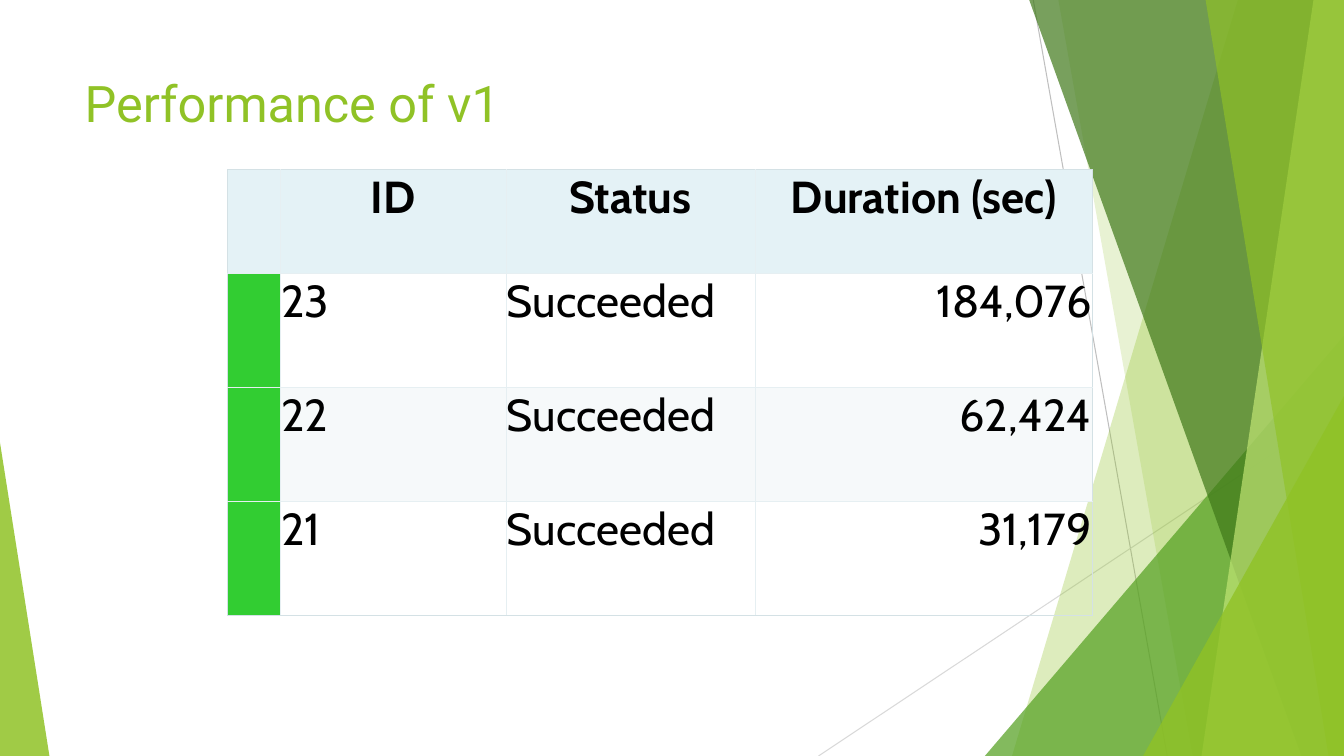
from dataclasses import dataclass

from lxml.etree import SubElement
from pptx import Presentation
from pptx.dml.color import RGBColor
from pptx.enum.shapes import MSO_CONNECTOR, MSO_SHAPE
from pptx.enum.text import MSO_ANCHOR, PP_ALIGN
from pptx.oxml.ns import qn
from pptx.util import Inches, Pt


@dataclass(frozen=True)
class Theme:
    lime: str = "90C226"
    green: str = "54A021"
    forest: str = "3F7819"
    pale_lime: str = "C0E474"
    dark_line: str = "BFBFBF"
    light_line: str = "D9D9D9"
    text: str = "000000"
    header: str = "E4F2F6"
    band: str = "F6F9FA"
    success: str = "32CD32"
    outer_border: str = "D4E1E5"
    inner_border: str = "E6EFF2"
    title_font: str = "Roboto"
    table_font: str = "Cabin"
    title_size: int = 36
    table_size: int = 32
    line_width: float = 0.75
    border_width: float = 0.5


THEME = Theme()
SLIDE_WIDTH, SLIDE_HEIGHT = Inches(13.33), Inches(7.5)

# Places and sizes are percentages of the slide's width (x) and height (y).
RAYS = [
    ((76.88, 0), (86.85, 100), THEME.dark_line),
    ((100, 53.73), (60.9, 100), THEME.light_line),
]
# Top x, bottom x, colour, opacity; each panel reaches the right edge.
BACK_PANELS = [(92.1, 75.3, THEME.lime, 30), (78.75, 88.73, THEME.lime, 20)]
FRONT_PANELS = [
    (76.58, 96.83, THEME.forest, 70),
    (97.73, 89.4, THEME.pale_lime, 70),
    (89.7, 98.85, THEME.lime, 65),
]
HEADERS = ["", "ID", "Status", "Duration (sec)"]
RUNS = [
    ["", "23", "Succeeded", "184,076"],
    ["", "22", "Succeeded", "62,424"],
    ["", "21", "Succeeded", "31,179"],
]
ALIGNMENTS = [PP_ALIGN.LEFT, PP_ALIGN.LEFT, PP_ALIGN.LEFT, PP_ALIGN.RIGHT]
COLUMN_WIDTHS = [3.9, 16.8, 18.53, 25.13]
ROW_HEIGHTS = [13.73] + [15.08] * len(RUNS)


def across(percent):
    return round(SLIDE_WIDTH * percent / 100)


def down(percent):
    return round(SLIDE_HEIGHT * percent / 100)


def paint(shape, color, opacity):
    shape.shadow.inherit = False
    shape.line.fill.background()
    shape.fill.solid()
    shape.fill.fore_color.rgb = RGBColor.from_string(color)
    color_node = shape.fill._xPr.find(qn("a:solidFill"))[0]
    SubElement(color_node, qn("a:alpha"), val=str(opacity * 1000))


def add_ray(page, start, end, color):
    ray = page.shapes.add_connector(
        MSO_CONNECTOR.STRAIGHT,
        across(start[0]), down(start[1]), across(end[0]), down(end[1]),
    )
    ray.line.color.rgb = RGBColor.from_string(color)
    ray.line.width = Pt(THEME.line_width)
    SubElement(ray.element.spPr, qn("a:effectLst"))


def add_panel(page, top_x, bottom_x, color, opacity):
    builder = page.shapes.build_freeform(across(top_x), 0)
    builder.add_line_segments([
        (SLIDE_WIDTH, 0), (SLIDE_WIDTH, SLIDE_HEIGHT),
        (across(bottom_x), SLIDE_HEIGHT),
    ])
    paint(builder.convert_to_shape(), color, opacity)


def add_corner(page, left, right, top, apex, color, opacity):
    """Add a triangle standing on the bottom edge; apex 0 is left, 1 right."""
    corner = page.shapes.add_shape(
        MSO_SHAPE.ISOSCELES_TRIANGLE,
        across(left), down(top), across(right - left), down(100 - top),
    )
    corner.adjustments[0] = apex
    paint(corner, color, opacity)


def add_facets(page):
    for ray in RAYS:
        add_ray(page, *ray)
    for panel in BACK_PANELS:
        add_panel(page, *panel)
    add_corner(page, 73.28, 100, 44.4, 1, THEME.green, 72)
    for panel in FRONT_PANELS:
        add_panel(page, *panel)
    add_corner(page, 85.05, 100, 52.4, 1, THEME.lime, 80)
    add_corner(page, 0, 3.68, 58.53, 0, THEME.lime, 85)


def set_font(paragraph, name, size, color, bold=False):
    font = paragraph.font
    font.name, font.size, font.bold = name, Pt(size), bold
    font.color.rgb = RGBColor.from_string(color)


def place_title(page, text):
    title = page.shapes.title
    title.left, title.top = across(5.55), down(8.93)
    title.width, title.height = across(70.5), down(19.2)
    frame = title.text_frame
    frame.text = text
    frame.word_wrap = True
    frame.vertical_anchor = MSO_ANCHOR.TOP
    paragraph = frame.paragraphs[0]
    paragraph.alignment = PP_ALIGN.LEFT
    set_font(paragraph, THEME.title_font, THEME.title_size, THEME.lime)
    title.element.getparent().append(title.element)  # bring to front


def set_borders(cell, outer_sides):
    properties = cell._tc.get_or_add_tcPr()
    for side in "LRTB":
        color = THEME.outer_border if side in outer_sides else THEME.inner_border
        line = SubElement(
            properties, qn(f"a:ln{side}"), w=str(Pt(THEME.border_width))
        )
        fill = SubElement(line, qn("a:solidFill"))
        SubElement(fill, qn("a:srgbClr"), val=color)


def cell_fill(row, column):
    if row == 0:
        return THEME.header
    if column == 0:
        return THEME.success
    return THEME.band if row % 2 == 0 else None


def format_cell(cell, text, row, column):
    edges = {
        "L": column == 0, "R": column == len(HEADERS) - 1,
        "T": row == 0, "B": row == len(RUNS),
    }
    set_borders(cell, [side for side, is_outer in edges.items() if is_outer])
    color = cell_fill(row, column)
    if color:
        cell.fill.solid()
        cell.fill.fore_color.rgb = RGBColor.from_string(color)
    else:
        cell.fill.background()
    cell.margin_left = cell.margin_right = cell.margin_top = Inches(0.01)
    cell.margin_bottom = 0
    cell.text = text
    paragraph = cell.text_frame.paragraphs[0]
    paragraph.alignment = PP_ALIGN.CENTER if row == 0 else ALIGNMENTS[column]
    set_font(paragraph, THEME.table_font, THEME.table_size, THEME.text, row == 0)


def add_run_table(page):
    records = [HEADERS] + RUNS
    table = page.shapes.add_table(
        len(records), len(HEADERS), across(16.95), down(22.4),
        across(sum(COLUMN_WIDTHS)), down(sum(ROW_HEIGHTS)),
    ).table
    table.first_row = table.horz_banding = False
    for column, width in zip(table.columns, COLUMN_WIDTHS):
        column.width = across(width)
    for row, height in zip(table.rows, ROW_HEIGHTS):
        row.height = down(height)
    for row, record in enumerate(records):
        for column, text in enumerate(record):
            format_cell(table.cell(row, column), text, row, column)


def main():
    deck = Presentation()
    deck.slide_width, deck.slide_height = SLIDE_WIDTH, SLIDE_HEIGHT
    page = deck.slides.add_slide(deck.slide_layouts.get_by_name("Title Only"))
    add_facets(page)
    place_title(page, "Performance of v1")
    add_run_table(page)
    deck.save("out.pptx")


if __name__ == "__main__":
    main()
